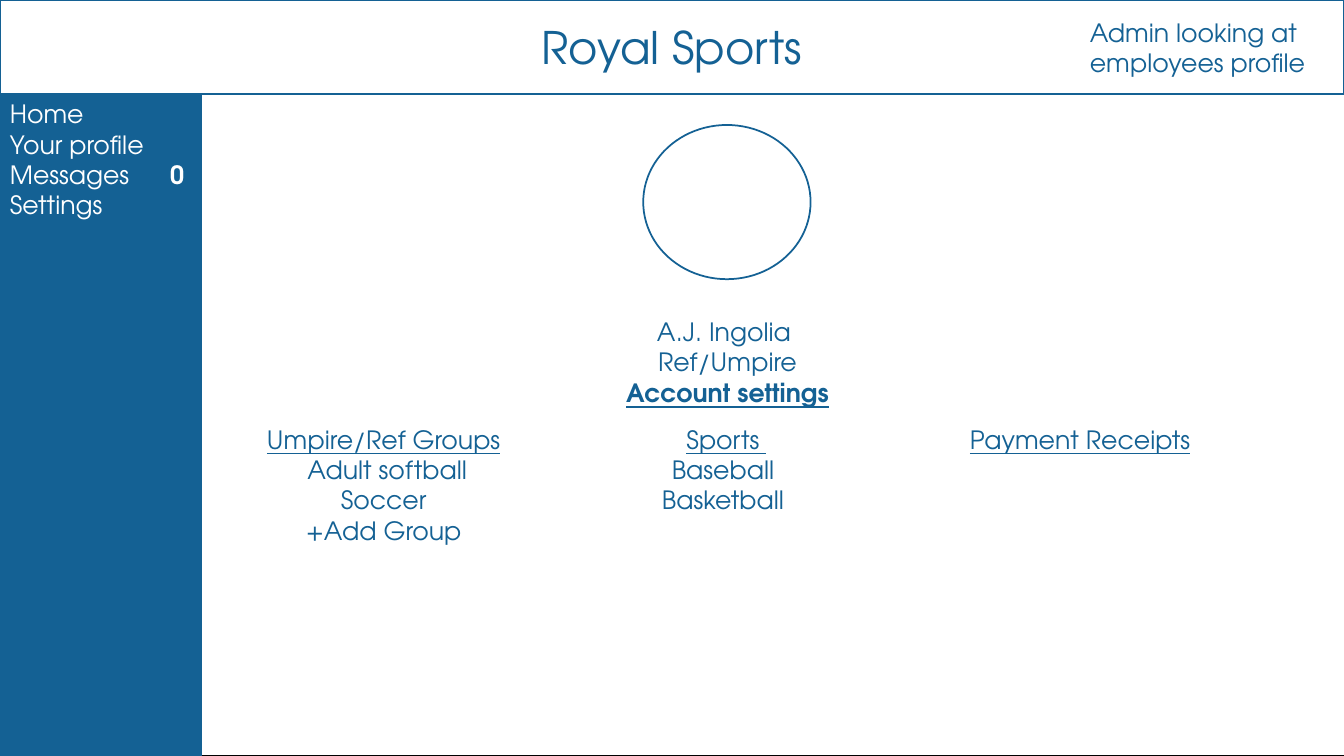
"""Build the employee profile page of the Royal Sports site mock-up."""
from dataclasses import dataclass

from lxml import etree
from pptx import Presentation
from pptx.dml.color import RGBColor
from pptx.enum import shapes, text
from pptx.oxml import ns
from pptx.util import Inches, Pt


@dataclass(frozen=True)
class Theme:
    font: str = "TeX Gyre Adventor"
    blue: RGBColor = RGBColor(0x14, 0x61, 0x94)
    white: RGBColor = RGBColor(0xFF, 0xFF, 0xFF)
    black: RGBColor = RGBColor(0, 0, 0)
    title: int = 32
    body: int = 18
    outline: float = 1.25


THEME = Theme()
LEFT, CENTER = text.PP_ALIGN.LEFT, text.PP_ALIGN.CENTER
WIDTH, HEIGHT = 13.33, 7.5
HEADER_H, MENU_W = 0.93, 2
COLUMNS_TOP = 4.16


def write(tf, lines, size=THEME.body, color=THEME.blue, align=LEFT, tab=None):
    """Fill a text frame with lines, each a list of (text, font settings) runs."""
    tf.word_wrap = True
    for i, line in enumerate(lines):
        p = tf.paragraphs[0] if i == 0 else tf.add_paragraph()
        p.alignment = align
        if tab:
            tabs = etree.SubElement(p._p.get_or_add_pPr(), ns.qn("a:tabLst"))
            etree.SubElement(tabs, ns.qn("a:tab"), pos=str(Inches(tab)), algn="l")
        for words, settings in line:
            r = p.add_run()
            r.text = words
            r.font.name, r.font.size = THEME.font, Pt(size)
            r.font.color.rgb = color
            for name, value in settings.items():
                setattr(r.font, name, value)


def plain(*lines):
    """Turn strings into lines of one unformatted run."""
    return [[(line, {})] for line in lines]


def heading(words, **settings):
    """Return an underlined line."""
    return [(words, {"underline": True, **settings})]


def paint(sp, fill, line):
    """Set the fill and outline of a shape."""
    sp.fill.solid()
    sp.fill.fore_color.rgb = fill
    sp.line.color.rgb = line
    sp.line.width = Pt(THEME.outline)


def add_panel(s, kind, box, fill, line):
    """Add a flat preset shape."""
    sp = s.shapes.add_shape(kind, *map(Inches, box))
    sp.shadow.inherit = False
    paint(sp, fill, line)


def add_text(s, box, lines, **settings):
    """Add a text box."""
    sp = s.shapes.add_textbox(*map(Inches, box))
    write(sp.text_frame, lines, **settings)


def add_header(s):
    """Turn the title placeholder into the header bar, in front of the panels."""
    sp = s.shapes.title
    sp.left, sp.top, sp.width, sp.height = map(Inches, (0, 0, WIDTH, HEADER_H))
    paint(sp, THEME.white, THEME.blue)
    sp.text_frame.vertical_anchor = text.MSO_ANCHOR.MIDDLE
    write(sp.text_frame, plain("Royal Sports"), size=THEME.title, align=CENTER)
    s.shapes._spTree.append(sp._element)


def main():
    """Build and save the slide."""
    prs = Presentation()
    prs.slide_width, prs.slide_height = Inches(WIDTH), Inches(HEIGHT)
    s = prs.slides.add_slide(prs.slide_layouts.get_by_name("Title Only"))
    rect, oval = shapes.MSO_SHAPE.RECTANGLE, shapes.MSO_SHAPE.OVAL
    body_h = HEIGHT - HEADER_H

    add_panel(s, rect, (0.02, HEADER_H, WIDTH, body_h), THEME.white, THEME.black)
    add_panel(s, rect, (0, HEADER_H, MENU_W, body_h), THEME.blue, THEME.blue)
    add_header(s)
    add_text(s, (10.71, 0.12, 2.45, 0.71), plain("Admin looking at employees profile"))

    messages = [("Messages\t", {}), ("0", {"bold": True})]
    menu = [*plain("Home", "Your profile"), messages, *plain("Settings")]
    add_text(s, (0, HEADER_H, MENU_W, 1.62), menu, color=THEME.white, tab=1.59)

    add_panel(s, oval, (6.38, 1.24, 1.66, 1.53), THEME.white, THEME.blue)
    profile = [*plain("A.J. Ingolia ", "Ref/Umpire"), heading("Account settings ", bold=True)]
    add_text(s, (6.09, 3.09, 2.25, 1.01), profile, align=CENTER)

    columns = [
        (2.4, 2.81, CENTER, "Umpire/Ref Groups", (" Adult softball", "Soccer", "+Add Group")),
        (6.36, 1.69, CENTER, "Sports ", ("Baseball ", "Basketball ")),
        (9.52, 3.12, LEFT, "Payment Receipts", ()),
    ]
    for left, width, align, title, items in columns:
        box = (left, COLUMNS_TOP, width, 0.4 + 0.3 * len(items))
        add_text(s, box, [heading(title), *plain(*items)], align=align)

    prs.save("out.pptx")


if __name__ == "__main__":
    main()
